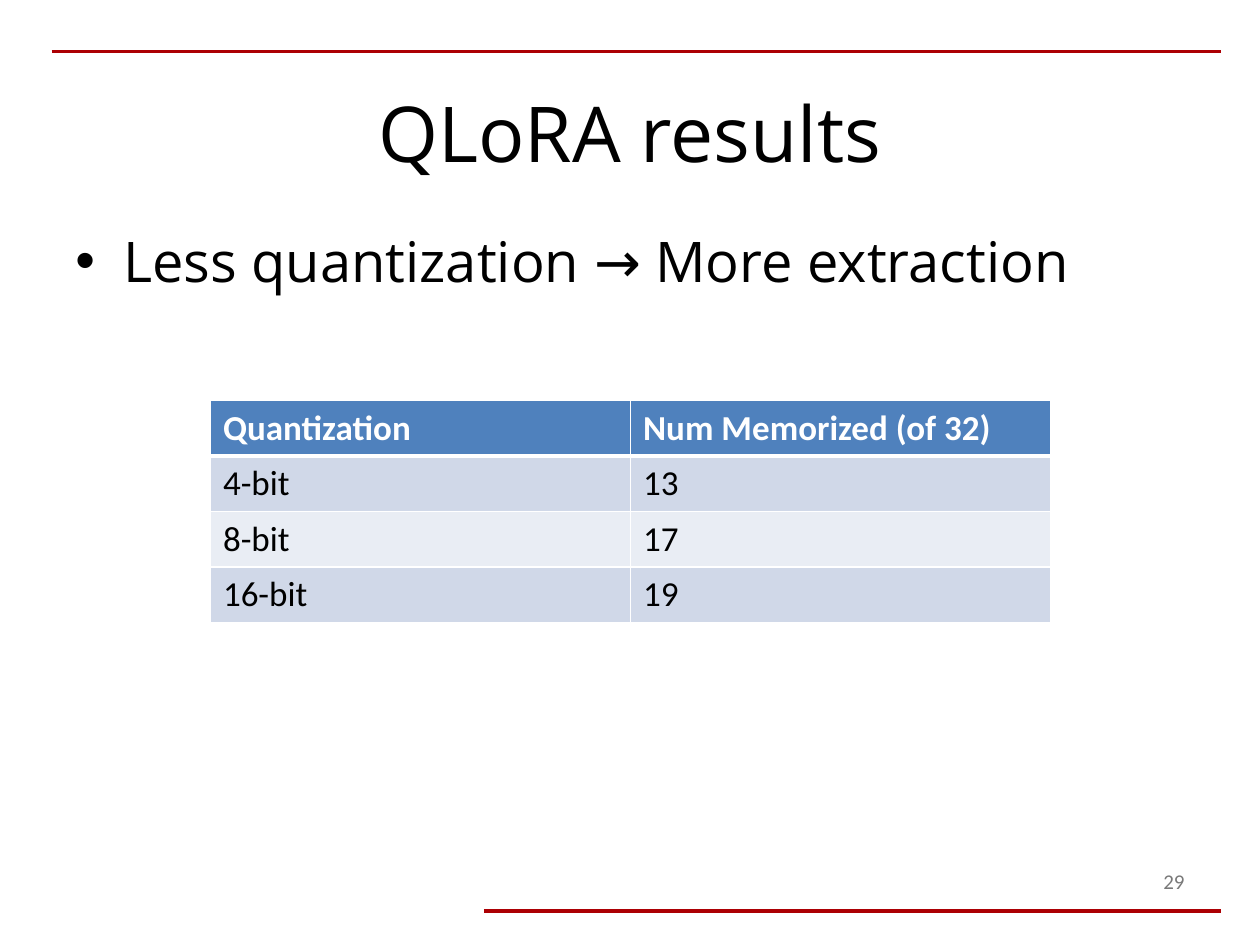
from lxml.etree import SubElement
from pptx import Presentation
from pptx.dml.color import RGBColor
from pptx.enum.shapes import MSO_CONNECTOR
from pptx.enum.text import MSO_ANCHOR, PP_ALIGN
from pptx.oxml.ns import qn
from pptx.util import Inches, Pt

TITLE = "QLoRA results"
BULLET = "Less quantization → More extraction"
PAGE_NUMBER = "29"
ROWS = [
    ("Quantization", "Num Memorized (of 32)"),
    ("4-bit", "13"),
    ("8-bit", "17"),
    ("16-bit", "19"),
]
RULES = [(3.84, 7.23), (0.41, 0.41)]
RULE_RIGHT = 9.69
COLORS = {
    "rule": "AC0004",
    "text": "000000",
    "number": "797979",
    "white": "FFFFFF",
    "header": "4F81BD",
    "odd": "D0D8E8",
    "even": "E9EDF4",
}
HEADING_FONT = "Open Sans"
TABLE_FONT = "Calibri"


def color(name):
    return RGBColor.from_string(COLORS[name])


def write(text_frame, text, font_name, size, color_name, bold=False, align=PP_ALIGN.LEFT):
    text_frame.text = text
    paragraph = text_frame.paragraphs[0]
    paragraph.alignment = align
    font = paragraph.runs[0].font
    font.name = font_name
    font.size = Pt(size)
    font.bold = bold
    font.color.rgb = color(color_name)
    return paragraph


def place(shape, left, top, width, height):
    shape.left, shape.top = Inches(left), Inches(top)
    shape.width, shape.height = Inches(width), Inches(height)


def add_text_box(slide, left, top, width, height, anchor):
    shape = slide.shapes.add_textbox(Inches(left), Inches(top), Inches(width), Inches(height))
    shape.text_frame.word_wrap = True
    shape.text_frame.vertical_anchor = anchor
    return shape.text_frame


def add_rule(slide, left, top):
    connector = slide.shapes.add_connector(
        MSO_CONNECTOR.STRAIGHT, Inches(left), Inches(top), Inches(RULE_RIGHT), Inches(top)
    )
    connector.line.color.rgb = color("rule")
    connector.line.width = Pt(2)
    SubElement(connector._element.spPr, qn("a:effectLst"))


def add_bullet(paragraph):
    paragraph.space_before = Pt(6.4)
    properties = paragraph._p.get_or_add_pPr()
    properties.set("marL", str(Inches(0.38)))
    properties.set("indent", str(Inches(-0.38)))
    SubElement(properties, qn("a:buFont"), typeface="Arial")
    SubElement(properties, qn("a:buChar"), char="•")


def set_borders(cell, widths):
    properties = cell._tc.get_or_add_tcPr()
    for side, width in widths.items():
        line = SubElement(properties, qn(f"a:ln{side}"), w=str(Pt(width)))
        fill = SubElement(line, qn("a:solidFill"))
        SubElement(fill, qn("a:srgbClr"), val=COLORS["white"])


def add_results_table(slide):
    frame = slide.shapes.add_table(
        len(ROWS), len(ROWS[0]), Inches(1.67), Inches(3.18), Inches(6.67), Inches(0.44 * len(ROWS))
    )
    table = frame.table
    for row_index, values in enumerate(ROWS):
        header = row_index == 0
        fill_name = "header" if header else ("odd" if row_index % 2 else "even")
        for column_index, value in enumerate(values):
            cell = table.cell(row_index, column_index)
            top = 3 if row_index == 1 else 1
            bottom = 3 if header else 1
            set_borders(cell, {"L": 1, "R": 1, "T": top, "B": bottom})
            cell.fill.solid()
            cell.fill.fore_color.rgb = color(fill_name)
            text_color = "white" if header else "text"
            write(cell.text_frame, value, TABLE_FONT, 20, text_color, header)


def main():
    presentation = Presentation()
    presentation.slide_width, presentation.slide_height = Inches(10), Inches(7.5)
    slide = presentation.slides.add_slide(presentation.slide_layouts[5])

    for left, top in RULES:
        add_rule(slide, left, top)

    title = slide.shapes.title
    place(title, 0.5, 0.54, 9, 1.01)
    title.text_frame.vertical_anchor = MSO_ANCHOR.MIDDLE
    write(title.text_frame, TITLE, HEADING_FONT, 44, "text", align=PP_ALIGN.CENTER)

    body = add_text_box(slide, 0.5, 1.75, 9, 4.95, MSO_ANCHOR.TOP)
    add_bullet(write(body, BULLET, HEADING_FONT, 32, "text"))

    number = add_text_box(slide, 7.25, 6.79, 2.25, 0.4, MSO_ANCHOR.MIDDLE)
    write(number, PAGE_NUMBER, TABLE_FONT, 12, "number", align=PP_ALIGN.RIGHT)

    add_results_table(slide)
    presentation.save("out.pptx")


if __name__ == "__main__":
    main()
